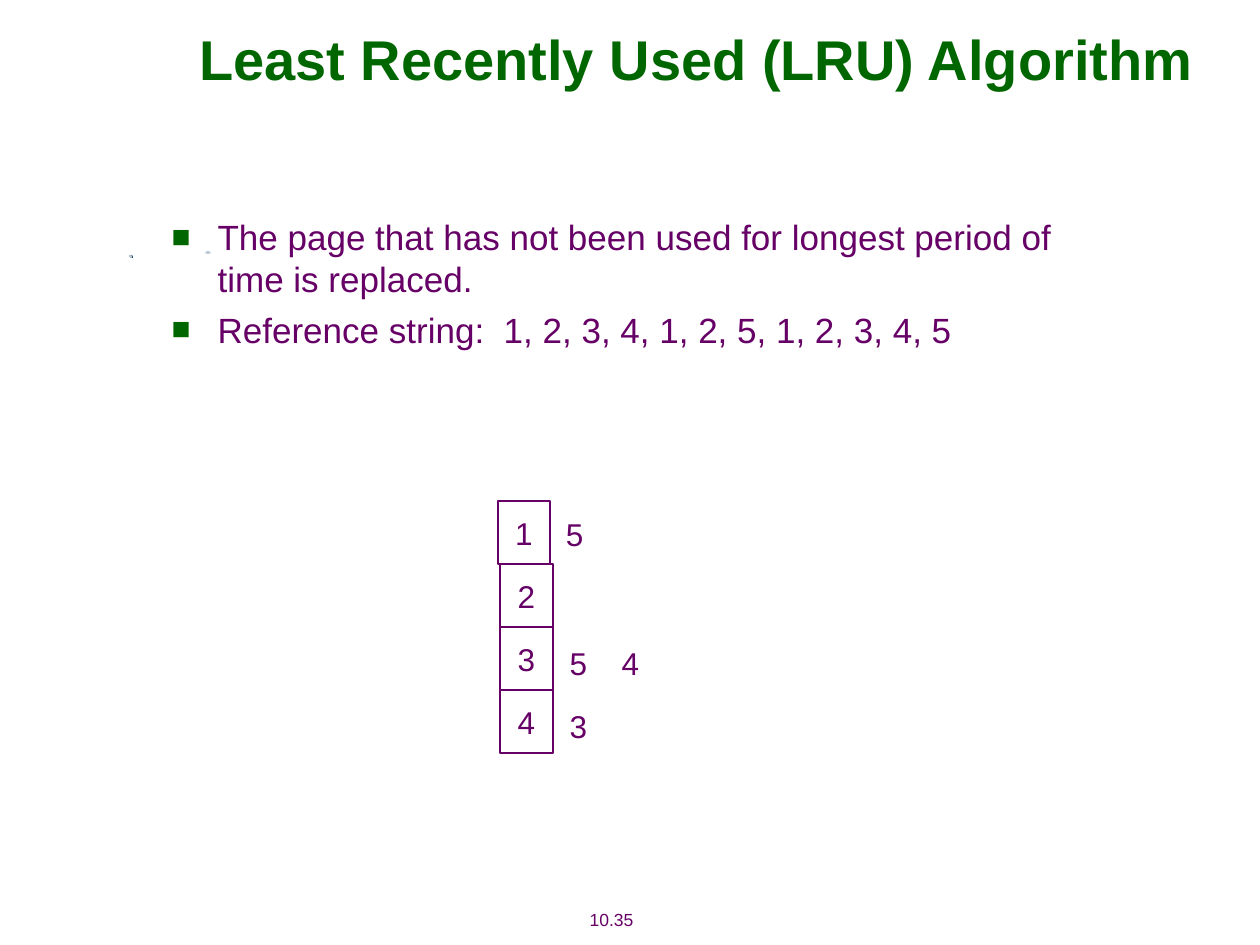
from lxml.etree import SubElement
from pptx import Presentation
from pptx.dml.color import RGBColor
from pptx.enum.shapes import MSO_SHAPE
from pptx.enum.text import MSO_ANCHOR, MSO_AUTO_SIZE, PP_ALIGN
from pptx.oxml.ns import qn
from pptx.util import Pt

PX = 914400 // 126
FONT = "Arial"
GREEN = RGBColor(0x00, 0x66, 0x00)
PURPLE = RGBColor(0x66, 0x00, 0x66)
WHITE = RGBColor(0xFF, 0xFF, 0xFF)
NAVY = RGBColor(0x28, 0x4C, 0x70)
MIST = RGBColor(0xBF, 0xCC, 0xD8)

FRAME_TOP, FRAME_HEIGHT = 501, 63
FRAMES = [("1", 498, 52), ("2", 500, 53), ("3", 500, 53), ("4", 500, 53)]
REPLACEMENTS = [("5", 553, 509), ("5", 557, 638), ("4", 609, 638), ("3", 557, 701)]
BULLETS = [
    "The page that has not been used for longest period of time is replaced.",
    "Reference string:  1, 2, 3, 4, 1, 2, 5, 1, 2, 3, 4, 5",
]
MARKS = [
    (NAVY, [(129, 256), (131, 255), (133, 256), (133, 258), (131, 258)]),
    (MIST, [(129, 256), (131, 255), (132, 256), (132, 258), (130, 257)]),
    (MIST, [(205, 253), (207, 251), (209, 251), (211, 253), (209, 254), (207, 254)]),
]


def px(*lengths):
    """Turn pixel lengths into EMU."""
    return [length * PX for length in lengths]


def add_text(paragraph, text, size, color, bold=False):
    """Add one formatted run to a paragraph."""
    run = paragraph.add_run()
    run.text = text
    run.font.name, run.font.size, run.font.bold = FONT, Pt(size), bold
    run.font.color.rgb = color


def place(placeholder, left, top, width, height):
    """Move a placeholder and keep its text at full size."""
    placeholder.left, placeholder.top, placeholder.width, placeholder.height = px(
        left, top, width, height)
    placeholder.text_frame.auto_size = MSO_AUTO_SIZE.NONE
    return placeholder.text_frame


def add_bullet(paragraph):
    """Give a paragraph a green square bullet with a hanging indent."""
    properties = paragraph._p.get_or_add_pPr()
    indent = 46 * PX
    properties.set("marL", str(indent))
    properties.set("indent", str(-indent))
    color = SubElement(properties, qn("a:buClr"))
    SubElement(color, qn("a:srgbClr"), val=str(GREEN))
    SubElement(properties, qn("a:buSzPct"), val="90000")
    SubElement(properties, qn("a:buFont"), typeface=FONT)
    SubElement(properties, qn("a:buChar"), char="■")


def fill_centered(frame, text, size):
    """Put one unwrapped line in the middle of a text frame."""
    frame.word_wrap = False
    frame.vertical_anchor = MSO_ANCHOR.MIDDLE
    frame.paragraphs[0].alignment = PP_ALIGN.CENTER
    add_text(frame.paragraphs[0], text, size, PURPLE)


def add_label(shapes, text, left, top, width, height, size):
    """Add a centred text box."""
    label = shapes.add_textbox(*px(left, top, width, height))
    fill_centered(label.text_frame, text, size)
    label.text_frame.auto_size = MSO_AUTO_SIZE.SHAPE_TO_FIT_TEXT


def add_frame(shapes, page, left, top, width):
    """Add one memory frame holding a page number."""
    frame = shapes.add_shape(MSO_SHAPE.RECTANGLE, *px(left, top, width, FRAME_HEIGHT))
    frame.shadow.inherit = False
    frame.fill.solid()
    frame.fill.fore_color.rgb = WHITE
    frame.line.color.rgb = PURPLE
    frame.line.width = Pt(0.75)
    fill_centered(frame.text_frame, page, 18)


def add_mark(shapes, color, points):
    """Add a small filled outline."""
    builder = shapes.build_freeform(*points[0], scale=PX)
    builder.add_line_segments(points[1:], close=True)
    mark = builder.convert_to_shape()
    mark.shadow.inherit = False
    mark.fill.solid()
    mark.fill.fore_color.rgb = color
    mark.line.fill.background()


def main():
    """Build the LRU slide."""
    deck = Presentation()
    deck.slide_width, deck.slide_height = px(1260, 945)
    slide = deck.slides.add_slide(deck.slide_layouts[1])
    shapes = slide.shapes

    title = place(shapes.title, 161, 0, 1071, 116)
    title.vertical_anchor = MSO_ANCHOR.MIDDLE
    title.paragraphs[0].alignment = PP_ALIGN.CENTER
    add_text(title.paragraphs[0], "Least Recently Used (LRU) Algorithm", 32, GREEN, True)

    body = place(slide.placeholders[1], 159, 209, 969, 639)
    for index, bullet in enumerate(BULLETS):
        paragraph = body.add_paragraph() if index else body.paragraphs[0]
        paragraph.space_before = Pt(5)
        add_bullet(paragraph)
        add_text(paragraph, bullet, 20, PURPLE)

    for color, points in MARKS:
        add_mark(shapes, color, points)
    add_label(shapes, "10.35", 547, 902, 129, 34, 10)

    memory = shapes.add_group_shape().shapes
    for row, (page, left, width) in enumerate(FRAMES):
        add_frame(memory, page, left, FRAME_TOP + row * FRAME_HEIGHT, width)
    for page, left, top in REPLACEMENTS:
        add_label(memory, page, left, top, 43, 50, 18)

    deck.save("out.pptx")


if __name__ == "__main__":
    main()
